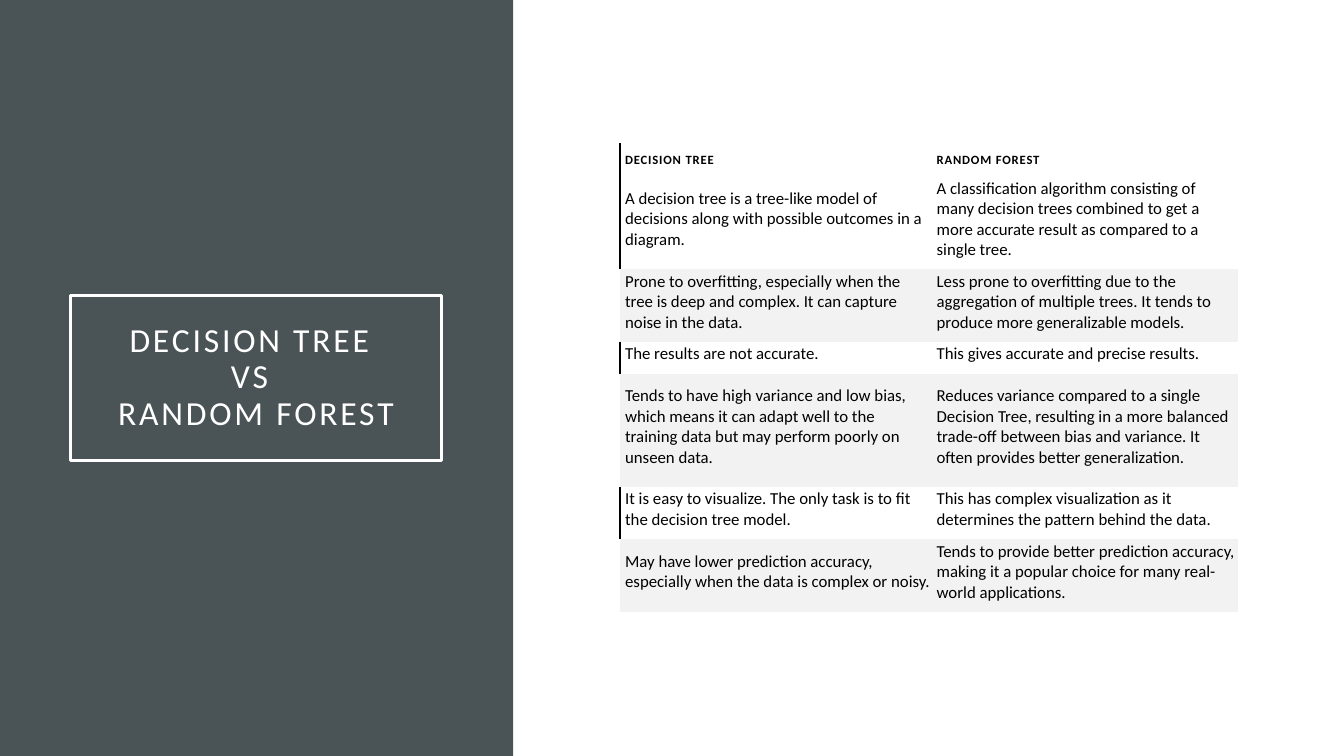
from lxml import etree
from pptx import Presentation
from pptx.dml.color import RGBColor
from pptx.enum.shapes import MSO_SHAPE
from pptx.enum.text import MSO_ANCHOR as ANCHOR, PP_ALIGN as ALIGN
from pptx.oxml.ns import qn
from pptx.util import Inches, Pt

COLORS = {"panel": "4A5356", "white": "FFFFFF", "black": "000000", "band": "F2F2F2"}
FONT = "Calibri"
SIDES = ("left", "top", "right", "bottom")

TITLE_LINES = ("DECISION TREE ", "VS ", "RANDOM FOREST")
TITLE_FONT = {"name": FONT, "size": Pt(24), "bold": False}
HEADER_FONT = {"name": FONT, "size": Pt(9), "bold": True}
BODY_FONT = {"name": FONT, "size": Pt(12), "bold": False}
HEADER_MARGINS = (0.05, 0.08, 0.01, 0.08)
BODY_MARGINS = (0.05, 0.01, 0.01, 0.08)

COL_WIDTHS = (3.09, 3.04)
ROW_HEIGHTS = (0.33, 0.92, 0.72, 0.32, 1.12, 0.52, 0.72)
ROWS = (
    ("DECISION TREE", "RANDOM FOREST"),
    ("A decision tree is a tree-like model of decisions along with possible outcomes in a diagram.",
     "A classification algorithm consisting of many decision trees combined to get a more accurate "
     "result as compared to a single tree."),
    ("Prone to overfitting, especially when the tree is deep and complex. It can capture noise in the data.",
     "Less prone to overfitting due to the aggregation of multiple trees. It tends to produce more "
     "generalizable models."),
    ("The results are not accurate.", "This gives accurate and precise results."),
    ("Tends to have high variance and low bias, which means it can adapt well to the training data "
     "but may perform poorly on unseen data.",
     "Reduces variance compared to a single Decision Tree, resulting in a more balanced trade-off "
     "between bias and variance. It often provides better generalization."),
    ("It is easy to visualize. The only task is to fit the decision tree model.",
     "This has complex visualization as it determines the pattern behind the data."),
    ("May have lower prediction accuracy, especially when the data is complex or noisy.",
     "Tends to provide better prediction accuracy, making it a popular choice for many real-world "
     "applications."),
)


def rgb(name):
    return RGBColor.from_string(COLORS[name])


def add_run(p, text, values, color, spacing=0):
    r = p.add_run()
    r.text = text
    for key, value in values.items():
        setattr(r.font, key, value)
    r.font.color.rgb = rgb(color)
    r._r.get_or_add_rPr().set("spc", str(round(spacing * 100)))


def set_margins(target, margins):
    for side, value in zip(SIDES, margins):
        setattr(target, f"margin_{side}", Inches(value))


def add_rect(slide, left, top, width, height):
    sp = slide.shapes.add_shape(MSO_SHAPE.RECTANGLE, Inches(left), Inches(top),
                                Inches(width), Inches(height))
    sp.shadow.inherit = False
    return sp


def add_title_panel(slide, left, top, width, height):
    panel = add_rect(slide, left, top, width, height)
    panel.fill.solid()
    panel.fill.fore_color.rgb = rgb("panel")
    panel.line.fill.background()

    frame = add_rect(slide, left + 0.7, top + 2.93, 3.68, 1.64)
    frame.fill.background()
    frame.line.color.rgb = rgb("white")
    frame.line.width = Pt(2.5)
    tf = frame.text_frame
    tf.word_wrap = True
    tf.vertical_anchor = ANCHOR.MIDDLE
    set_margins(tf, (0.2,) * 4)
    p = tf.paragraphs[0]
    p.alignment = ALIGN.CENTER
    p.line_spacing = 0.9
    for i, line in enumerate(TITLE_LINES):
        if i:
            p.add_line_break()
        add_run(p, line, TITLE_FONT, "white", 2)


def set_borders(cell, left_line):
    tc_pr = cell._tc.get_or_add_tcPr()
    for i, tag in enumerate(("a:lnL", "a:lnR", "a:lnT", "a:lnB")):
        ln = etree.Element(qn(tag), w=str(Pt(1)))
        if left_line and tag == "a:lnL":
            fill = etree.SubElement(ln, qn("a:solidFill"))
            etree.SubElement(fill, qn("a:srgbClr"), val=COLORS["black"])
        else:
            etree.SubElement(ln, qn("a:noFill"))
        tc_pr.insert(i, ln)


def fill_cell(cell, text, header, banded, first_col):
    cell.vertical_anchor = ANCHOR.BOTTOM if header else ANCHOR.MIDDLE
    set_margins(cell, HEADER_MARGINS if header else BODY_MARGINS)
    add_run(cell.text_frame.paragraphs[0], text, HEADER_FONT if header else BODY_FONT,
            "black", 0.6 if header else 0)
    if banded:
        cell.fill.solid()
        cell.fill.fore_color.rgb = rgb("band")
    else:
        cell.fill.background()
    set_borders(cell, first_col and not banded)


def add_comparison(slide, left, top, width, height):
    table = slide.shapes.add_table(len(ROWS), len(COL_WIDTHS), Inches(left), Inches(top),
                                   Inches(width), Inches(height)).table
    table.first_row = table.horz_banding = False
    for column, col_width in zip(table.columns, COL_WIDTHS):
        column.width = Inches(col_width)
    for i, (row, row_height) in enumerate(zip(table.rows, ROW_HEIGHTS)):
        row.height = Inches(row_height)
        for j, text in enumerate(ROWS[i]):
            fill_cell(table.cell(i, j), text, i == 0, i > 0 and i % 2 == 0, j == 0)


def main():
    prs = Presentation()
    prs.slide_width, prs.slide_height = Inches(13.33), Inches(7.5)
    slide = prs.slides.add_slide(prs.slide_layouts[6])
    add_title_panel(slide, 0, 0, 5.09, 7.5)
    add_comparison(slide, 6.15, 1.42, sum(COL_WIDTHS), sum(ROW_HEIGHTS))
    prs.save("out.pptx")


if __name__ == "__main__":
    main()
